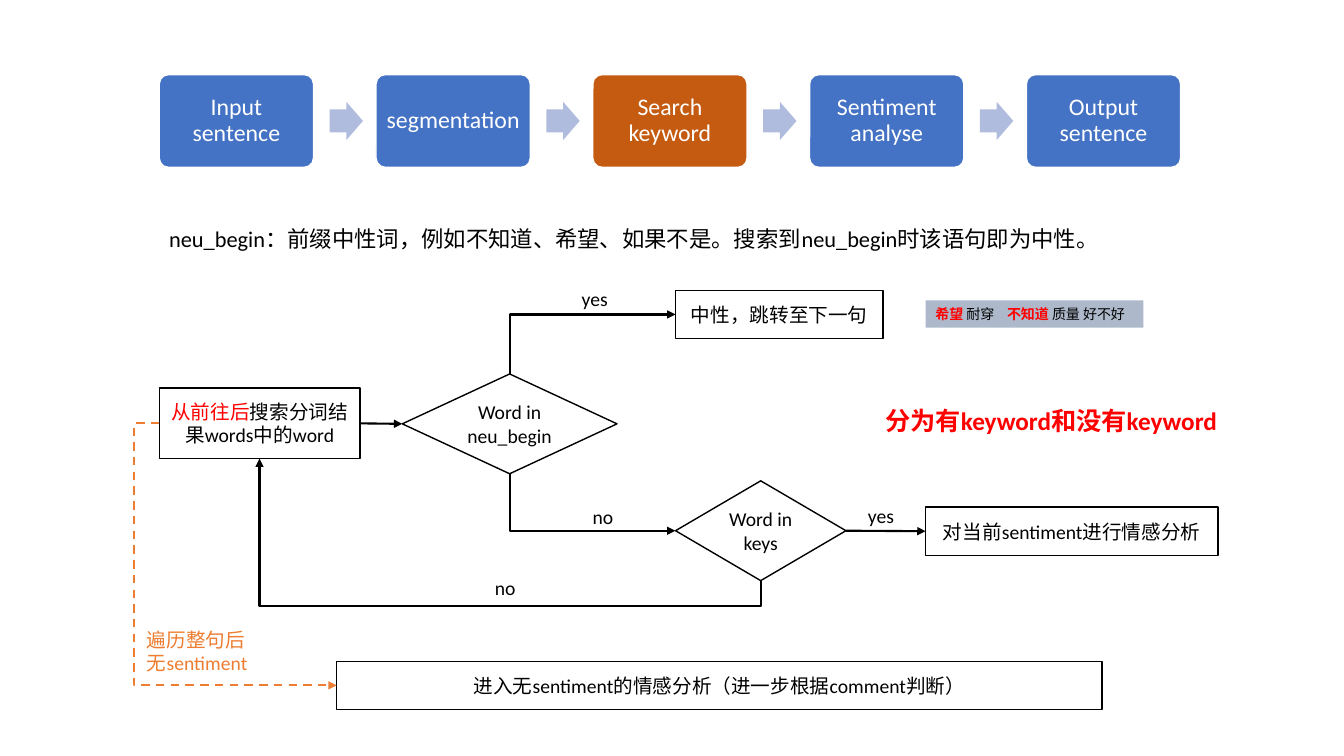
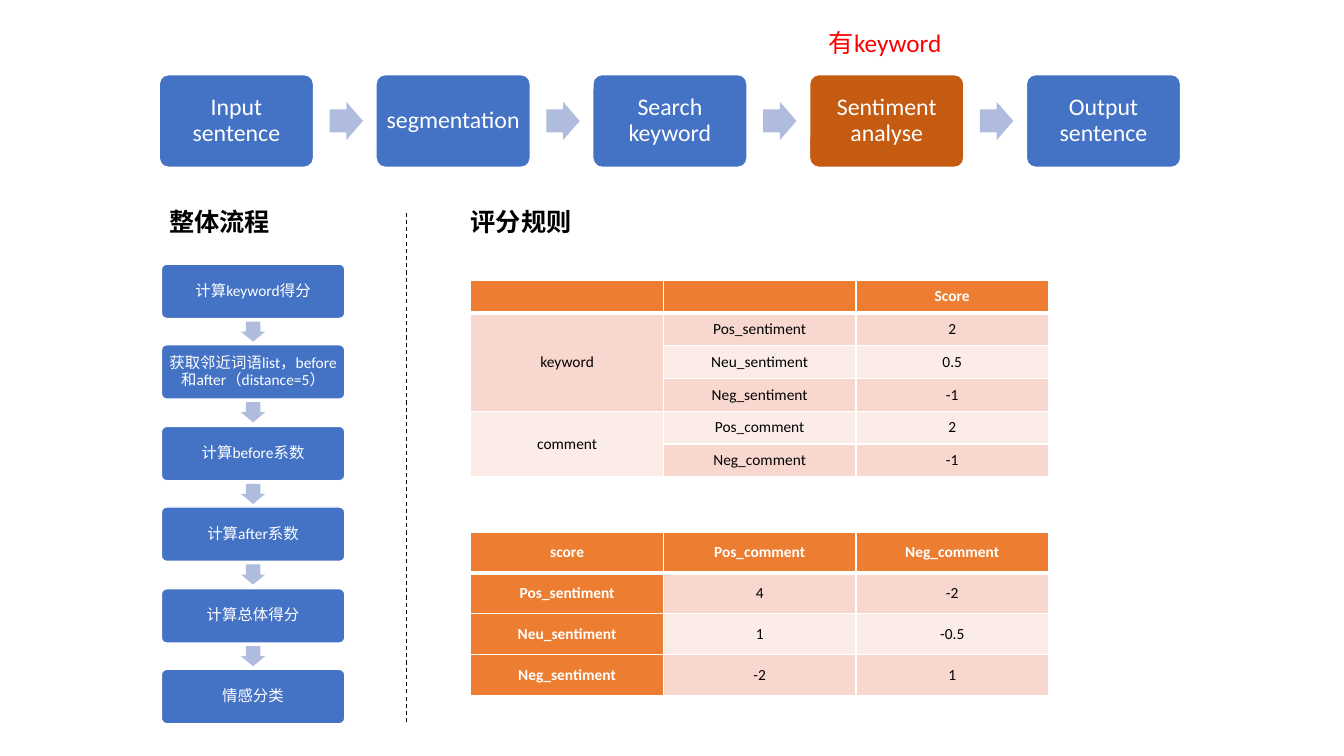
from dataclasses import dataclass
from typing import Optional

from lxml.etree import SubElement
from pptx import Presentation
from pptx.dml.color import RGBColor
from pptx.enum.dml import MSO_LINE_DASH_STYLE as Dash
from pptx.enum.shapes import MSO_CONNECTOR as Wire
from pptx.enum.shapes import MSO_SHAPE as Preset
from pptx.enum.text import MSO_ANCHOR as Anchor
from pptx.enum.text import MSO_AUTO_SIZE as AutoSize
from pptx.enum.text import PP_ALIGN as Align
from pptx.oxml.ns import qn
from pptx.util import Emu, Pt

PX_PER_INCH = 100
FONT = "Calibri"
BLACK, WHITE, RED = "000000", "FFFFFF", "FF0000"
BLUE, PALE_BLUE, RUST = "4472C4", "B0BCDE", "C55A11"
ORANGE, GREY = "ED7D31", "ADB9CA"
BANDS = ("FCECE8", "F8D7CE")
TOP, LEFT, BOTTOM, RIGHT = range(4)

STAGES = ("Input sentence", "segmentation", "Search keyword", "Sentiment analyse", "Output sentence")
STEPS = ("计算keyword得分", "获取邻近词语list，before和after（distance=5）", "计算before系数",
         "计算after系数", "计算总体得分", "情感分类")
RULES = (("", "", "Score"), ("keyword", "Pos_sentiment", "2"), ("", "Neu_sentiment", "0.5"),
         ("", "Neg_sentiment", "-1"), ("comment", "Pos_comment", "2"), ("", "Neg_comment", "-1"))
SCORES = (("score", "Pos_comment", "Neg_comment"), ("Pos_sentiment", "4", "-2"),
          ("Neu_sentiment", "1", "-0.5"), ("Neg_sentiment", "-2", "1"))


@dataclass(frozen=True)
class Area:
    left: int
    top: int
    width: int
    height: int

    def emu(self) -> tuple:
        return tuple(px(value) for value in (self.left, self.top, self.width, self.height))


@dataclass(frozen=True)
class Style:
    size: int = 14
    color: str = BLACK
    bold: bool = False
    align: Align = Align.LEFT
    anchor: Anchor = Anchor.TOP


@dataclass(frozen=True)
class Span:
    text: str
    style: Style


@dataclass(frozen=True)
class Label:
    text: str
    area: Area
    style: Style = Style()


@dataclass(frozen=True)
class Chain:
    names: tuple
    first_box: Area
    first_arrow: Area
    arrow: Preset
    shift_right: float
    shift_down: float
    size: int
    inset: int


@dataclass(frozen=True)
class Link:
    start: str
    start_site: int
    end: str
    end_site: int
    bend: Optional[str] = None
    adjust: Optional[int] = None
    color: str = BLACK
    dashed: bool = False


CENTRED = Style(align=Align.CENTER, anchor=Anchor.MIDDLE)
HEADING = Style(18, bold=True)
STAGE_CHAIN = Chain(STAGES, Area(158, 74, 153, 92), Area(327, 101, 33, 38),
                    Preset.RIGHT_ARROW, 215, 0, 17, 7)
STEP_CHAIN = Chain(STEPS, Area(160, 262, 182, 54), Area(239, 319, 24, 20),
                   Preset.DOWN_ARROW, 0, 80.4, 11, 5)

NODES = {
    "search": ("", Preset.RECTANGLE, Area(158, 385, 199, 70)),
    "prefix": ("Word in neu_begin", Preset.DIAMOND, Area(399, 371, 213, 99)),
    "keys": ("Word in keys", Preset.DIAMOND, Area(670, 477, 169, 99)),
    "neutral": ("中性，跳转至下一句", Preset.RECTANGLE, Area(670, 288, 206, 48)),
    "analyse": ("对当前sentiment进行情感分析", Preset.RECTANGLE, Area(918, 503, 290, 48)),
    "fallback": ("进入无sentiment的情感分析（进一步根据comment判断）", Preset.RECTANGLE,
                 Area(334, 656, 759, 48)),
}
LINKS = (
    Link("search", RIGHT, "prefix", LEFT),
    Link("prefix", TOP, "neutral", LEFT, "bentConnector2"),
    Link("prefix", BOTTOM, "keys", LEFT, "bentConnector2"),
    Link("keys", BOTTOM, "search", BOTTOM, "bentConnector3", -20700),
    Link("keys", RIGHT, "analyse", LEFT),
    Link("search", LEFT, "fallback", LEFT, "bentConnector3", -14200, ORANGE, True),
)
FLOW_LABELS = (
    Label("neu_begin：前缀中性词，例如不知道、希望、如果不是。搜索到neu_begin时该语句即为中性。",
          Area(158, 218, 1014, 37), Style(16)),
    Label("yes", Area(567, 280, 49, 34)),
    Label("no", Area(578, 496, 49, 34)),
    Label("no", Area(481, 566, 49, 34)),
    Label("yes", Area(851, 495, 49, 34)),
    Label("遍历整句后\n无sentiment", Area(136, 618, 134, 57), Style(color=ORANGE)),
)
SCORE_LABELS = (
    Label("整体流程", Area(158, 200, 185, 40), HEADING),
    Label("评分规则", Area(457, 200, 185, 40), HEADING),
)


def px(value: float) -> Emu:
    return Emu(round(value * 914400 / PX_PER_INCH))


def rgb(color: str) -> RGBColor:
    return RGBColor.from_string(color)


def format_span(span, style: Style) -> None:
    span.font.name = FONT
    span.font.size = Pt(style.size)
    span.font.bold = style.bold
    span.font.color.rgb = rgb(style.color)


def format_frame(frame, style: Style) -> None:
    frame.word_wrap = True
    frame.auto_size = AutoSize.NONE
    frame.vertical_anchor = style.anchor
    for para in frame.paragraphs:
        para.alignment = style.align
        for span in para.runs:
            format_span(span, style)


def write_text(frame, text: str, style: Style) -> None:
    frame.text = text
    format_frame(frame, style)


def write_spans(frame, spans: tuple, style: Style) -> None:
    format_frame(frame, style)
    for item in spans:
        span = frame.paragraphs[0].add_run()
        span.text = item.text
        format_span(span, item.style)


def add_box(page, preset: Preset, area: Area, fill: str, line: Optional[str] = None):
    box = page.shapes.add_shape(preset, *area.emu())
    box.shadow.inherit = False
    box.fill.solid()
    box.fill.fore_color.rgb = rgb(fill)
    if line:
        box.line.color.rgb = rgb(line)
        box.line.width = Pt(1)
    else:
        box.line.fill.background()
    return box


def add_label(page, label: Label) -> None:
    box = page.shapes.add_textbox(*label.area.emu())
    write_text(box.text_frame, label.text, label.style)


def add_title(page, label: Label) -> None:
    title = page.shapes.title
    title.left, title.top, title.width, title.height = label.area.emu()
    write_text(title.text_frame, label.text, label.style)


def add_chain(page, chain: Chain, active: Optional[str] = None) -> None:
    def shifted(area: Area, index: int) -> Area:
        return Area(area.left + round(index * chain.shift_right),
                    area.top + round(index * chain.shift_down), area.width, area.height)

    style = Style(chain.size, WHITE, align=Align.CENTER, anchor=Anchor.MIDDLE)
    for index, name in enumerate(chain.names):
        fill = RUST if name == active else BLUE
        box = add_box(page, Preset.ROUNDED_RECTANGLE, shifted(chain.first_box, index), fill, WHITE)
        box.adjustments[0] = 0.1
        frame = box.text_frame
        frame.margin_left = frame.margin_right = px(chain.inset)
        frame.margin_top = frame.margin_bottom = px(chain.inset)
        write_text(frame, name, style)
        frame.paragraphs[0].line_spacing = 0.9
        if index < len(chain.names) - 1:
            arrow = add_box(page, chain.arrow, shifted(chain.first_arrow, index), PALE_BLUE)
            arrow.adjustments[0], arrow.adjustments[1] = 0.6, 0.5


def style_line(connector, color: str, width: float, dashed: bool, arrow: bool) -> None:
    connector.line.color.rgb = rgb(color)
    connector.line.width = Pt(width)
    if dashed:
        connector.line.dash_style = Dash.DASH
    properties = connector._element.spPr
    if arrow:
        SubElement(properties.find(qn("a:ln")), qn("a:tailEnd"), type="triangle")
    SubElement(properties, qn("a:effectLst"))


def bend_connector(connector, link: Link) -> None:
    across = connector.end_x - connector.begin_x
    down = connector.end_y - connector.begin_y
    center_x = connector.begin_x + across // 2
    center_y = connector.begin_y + down // 2
    upright = link.start_site in (TOP, BOTTOM)
    run, rise = (down, -across) if upright else (across, down)
    connector.width, connector.height = Emu(abs(run)), Emu(abs(rise))
    connector.left = Emu(center_x - abs(run) // 2)
    connector.top = Emu(center_y - abs(rise) // 2)
    properties = connector._element.spPr
    frame = properties.find(qn("a:xfrm"))
    frame.set("rot", "5400000" if upright else "0")
    frame.set("flipH", str(int(run < 0)))
    frame.set("flipV", str(int(rise < 0)))
    geometry = properties.find(qn("a:prstGeom"))
    geometry.set("prst", link.bend)
    if link.adjust is not None:
        SubElement(geometry.find(qn("a:avLst")), qn("a:gd"), name="adj1", fmla=f"val {link.adjust}")


def add_link(page, link: Link, boxes: dict) -> None:
    kind = Wire.ELBOW if link.bend else Wire.STRAIGHT
    connector = page.shapes.add_connector(kind, 0, 0, 0, 0)
    connector.begin_connect(boxes[link.start], link.start_site)
    connector.end_connect(boxes[link.end], link.end_site)
    if link.bend:
        bend_connector(connector, link)
    style_line(connector, link.color, 1.5, link.dashed, True)


def add_borders(cell, row: int) -> None:
    properties = cell._tc.get_or_add_tcPr()
    widths = {"L": 1, "R": 1, "T": 3 if row == 1 else 1, "B": 3 if row == 0 else 1}
    for side, width in widths.items():
        line = SubElement(properties, qn(f"a:ln{side}"), w=str(Pt(width)))
        SubElement(SubElement(line, qn("a:solidFill")), qn("a:srgbClr"), val=WHITE)


def add_grid(page, rows: tuple, area: Area, header_column: bool = False):
    table = page.shapes.add_table(len(rows), len(rows[0]), *area.emu()).table
    for row, values in enumerate(rows):
        for column, value in enumerate(values):
            header = row == 0 or (header_column and column == 0)
            cell = table.cell(row, column)
            add_borders(cell, row)
            cell.fill.solid()
            cell.fill.fore_color.rgb = rgb(ORANGE if header else BANDS[row % 2])
            cell.vertical_anchor = Anchor.MIDDLE
            cell.text_frame.text = value
            para = cell.text_frame.paragraphs[0]
            para.alignment = Align.CENTER
            for span in para.runs:
                format_span(span, Style(11, WHITE if header else BLACK, header))
            if not value:
                SubElement(para._p, qn("a:endParaRPr"), sz="1100")
    return table


def build_search_page(page) -> None:
    add_chain(page, STAGE_CHAIN, "Search keyword")
    add_title(page, Label("分为有keyword和没有keyword", Area(868, 397, 390, 40),
                          Style(18, RED, True)))
    boxes = {}
    for name, (text, preset, area) in NODES.items():
        boxes[name] = add_box(page, preset, area, WHITE, BLACK)
        if text:
            write_text(boxes[name].text_frame, text, CENTRED)
    write_spans(boxes["search"].text_frame,
                (Span("从前往后", Style(color=RED)), Span("搜索分词结果words中的word", Style())), CENTRED)
    for link in LINKS:
        add_link(page, link, boxes)
    for label in FLOW_LABELS:
        add_label(page, label)
    sample = add_box(page, Preset.RECTANGLE, Area(918, 298, 216, 27), GREY).text_frame
    strong, plain = Style(10, RED, True), Style(10)
    write_spans(sample, (Span("希望 ", strong), Span("耐穿\t", plain),
                         Span("不知道 ", strong), Span("质量 好不好", plain)), plain)
    stops = SubElement(sample.paragraphs[0]._p.get_or_add_pPr(), qn("a:tabLst"))
    SubElement(stops, qn("a:tab"), pos=str(px(71)), algn="l")


def build_score_page(page) -> None:
    add_chain(page, STAGE_CHAIN, "Sentiment analyse")
    add_title(page, Label("有keyword", Area(812, 22, 162, 40), Style(18, RED)))
    add_chain(page, STEP_CHAIN)
    for label in SCORE_LABELS:
        add_label(page, label)
    rules = add_grid(page, RULES, Area(467, 278, 573, 195))
    for first, last in ((1, 3), (4, 5)):
        rules.cell(first, 0).merge(rules.cell(last, 0))
    add_grid(page, SCORES, Area(467, 528, 573, 162), True)
    divider = page.shapes.add_connector(Wire.STRAIGHT, px(403), px(211), px(403), px(717))
    style_line(divider, BLACK, 0.75, True, False)


def main() -> None:
    deck = Presentation()
    deck.slide_width, deck.slide_height = px(1333), px(750)
    for build in (build_search_page, build_score_page):
        build(deck.slides.add_slide(deck.slide_layouts[5]))
    deck.save("out.pptx")


if __name__ == "__main__":
    main()
